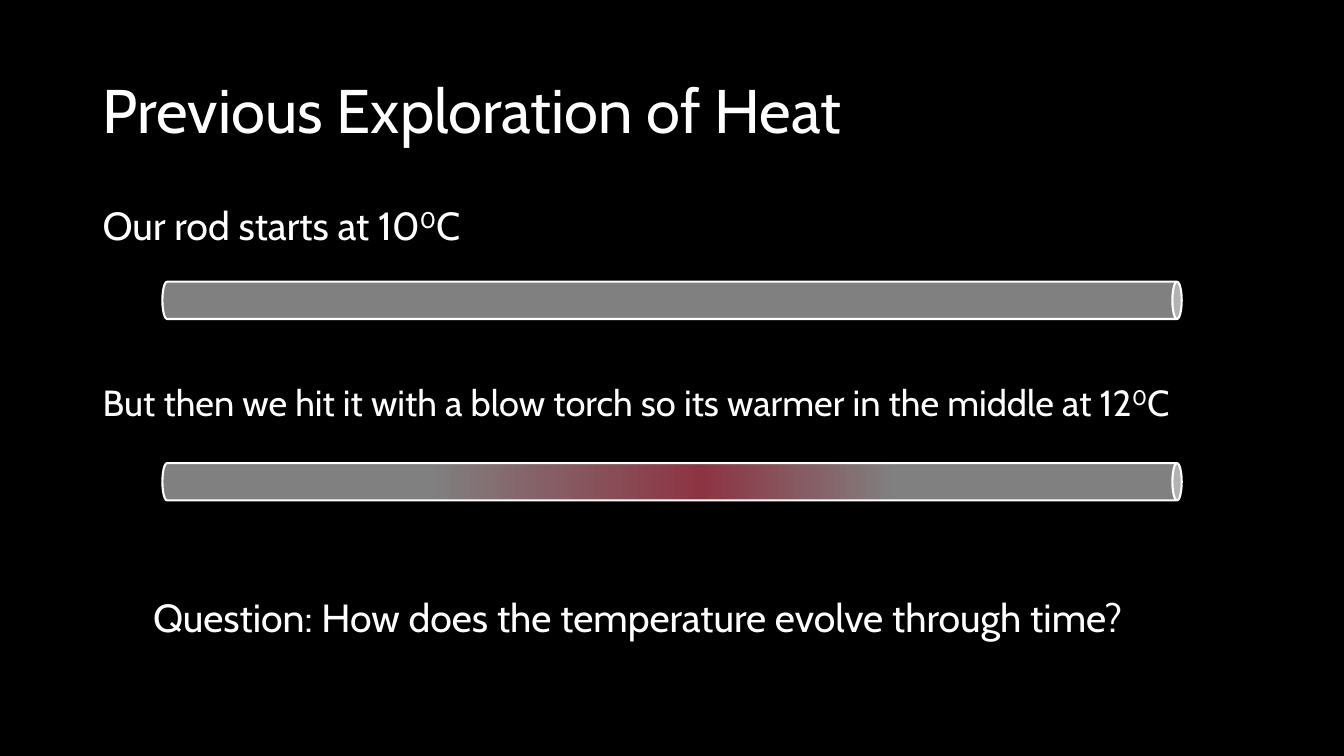
from lxml import etree
from pptx import Presentation
from pptx import util as u
from pptx.dml.color import RGBColor
from pptx.enum import shapes, text
from pptx.oxml import ns

WIDTH, HEIGHT = 13.33, 7.5
LEFT = 0.92 / WIDTH
FONT = "Cabin"
COLORS = {"background": "000000", "ink": "FFFFFF", "metal": "808080", "hot": "8D3443"}
HEAT = [(0, "metal"), (28, "metal"), (47, "hot"), (74, "metal"), (100, "metal")]


def rgb(name):
    return RGBColor.from_string(COLORS[name])


def place(sp, left, top, width, height):
    sp.left, sp.width = u.Inches(left * WIDTH), u.Inches(width * WIDTH)
    sp.top, sp.height = u.Inches(top * HEIGHT), u.Inches(height * HEIGHT)


def write(sp, runs, size, anchor):
    tf = sp.text_frame
    tf.word_wrap = True
    tf.auto_size = text.MSO_AUTO_SIZE.NONE
    tf.vertical_anchor = anchor
    p = tf.paragraphs[0]
    p.alignment = text.PP_ALIGN.LEFT
    p.line_spacing = 0.9
    for words, raised in runs:
        r = p.add_run()
        r.text = words
        r.font.name = FONT
        r.font.size = u.Pt(size)
        r.font.color.rgb = rgb("ink")
        if raised:
            r._r.get_or_add_rPr().set("baseline", "30000")


def add_title(slide, words):
    sp = slide.shapes.title
    place(sp, LEFT, 0.4 / HEIGHT, 11.5 / WIDTH, 1.45 / HEIGHT)
    write(sp, [(words, False)], 44, text.MSO_ANCHOR.MIDDLE)


def add_line(slide, runs, left, top, width, height, size=28):
    sp = slide.shapes.add_textbox(0, 0, 0, 0)
    place(sp, left, top, width, height)
    write(sp, runs, size, text.MSO_ANCHOR.TOP)


def degrees(sentence):
    return [(sentence, False), ("0", True), ("C", False)]


def heat_fill(sp, stops):
    sp.fill.gradient()
    grad = sp._element.spPr.find(ns.qn("a:gradFill"))
    for child in list(grad):
        grad.remove(child)
    grad.set("rotWithShape", "1")
    stop_list = etree.SubElement(grad, ns.qn("a:gsLst"))
    for share, name in stops:
        stop = etree.SubElement(stop_list, ns.qn("a:gs"), pos=str(share * 1000))
        etree.SubElement(stop, ns.qn("a:srgbClr"), val=COLORS[name])
    etree.SubElement(grad, ns.qn("a:lin"), ang="5400000", scaled="0")


def add_rod(slide, middle, stops=None):
    thickness, length = 0.37, 10.11
    sp = slide.shapes.add_shape(shapes.MSO_SHAPE.CAN, 0, 0, 0, 0)
    place(sp, 0.5 - thickness / 2 / WIDTH, middle - length / 2 / HEIGHT,
          thickness / WIDTH, length / HEIGHT)
    sp.rotation = 90
    sp.shadow.inherit = False
    if stops:
        heat_fill(sp, stops)
    else:
        sp.fill.solid()
        sp.fill.fore_color.rgb = rgb("metal")
    sp.line.color.rgb = rgb("ink")
    sp.line.width = u.Pt(1.5)


def main():
    prs = Presentation()
    prs.slide_width, prs.slide_height = u.Inches(WIDTH), u.Inches(HEIGHT)
    slide = prs.slides.add_slide(prs.slide_layouts[5])
    slide.background.fill.solid()
    slide.background.fill.fore_color.rgb = rgb("background")

    add_title(slide, "Previous Exploration of Heat")
    add_line(slide, degrees("Our rod starts at 10"),
             LEFT, 2 / HEIGHT, 11.5 / WIDTH, 0.63 / HEIGHT)
    add_rod(slide, 2.98 / HEIGHT)
    add_line(slide, degrees("But then we hit it with a blow torch so its warmer in the middle at 12"),
             LEFT, 3.77 / HEIGHT, 11.73 / WIDTH, 0.8 / HEIGHT, 25.9)
    add_rod(slide, 4.78 / HEIGHT, HEAT)
    add_line(slide, [("Question: How does the temperature evolve through time?", False)],
             1.42 / WIDTH, 5.89 / HEIGHT, 10.5 / WIDTH, 1.33 / HEIGHT)
    prs.save("out.pptx")


if __name__ == "__main__":
    main()
